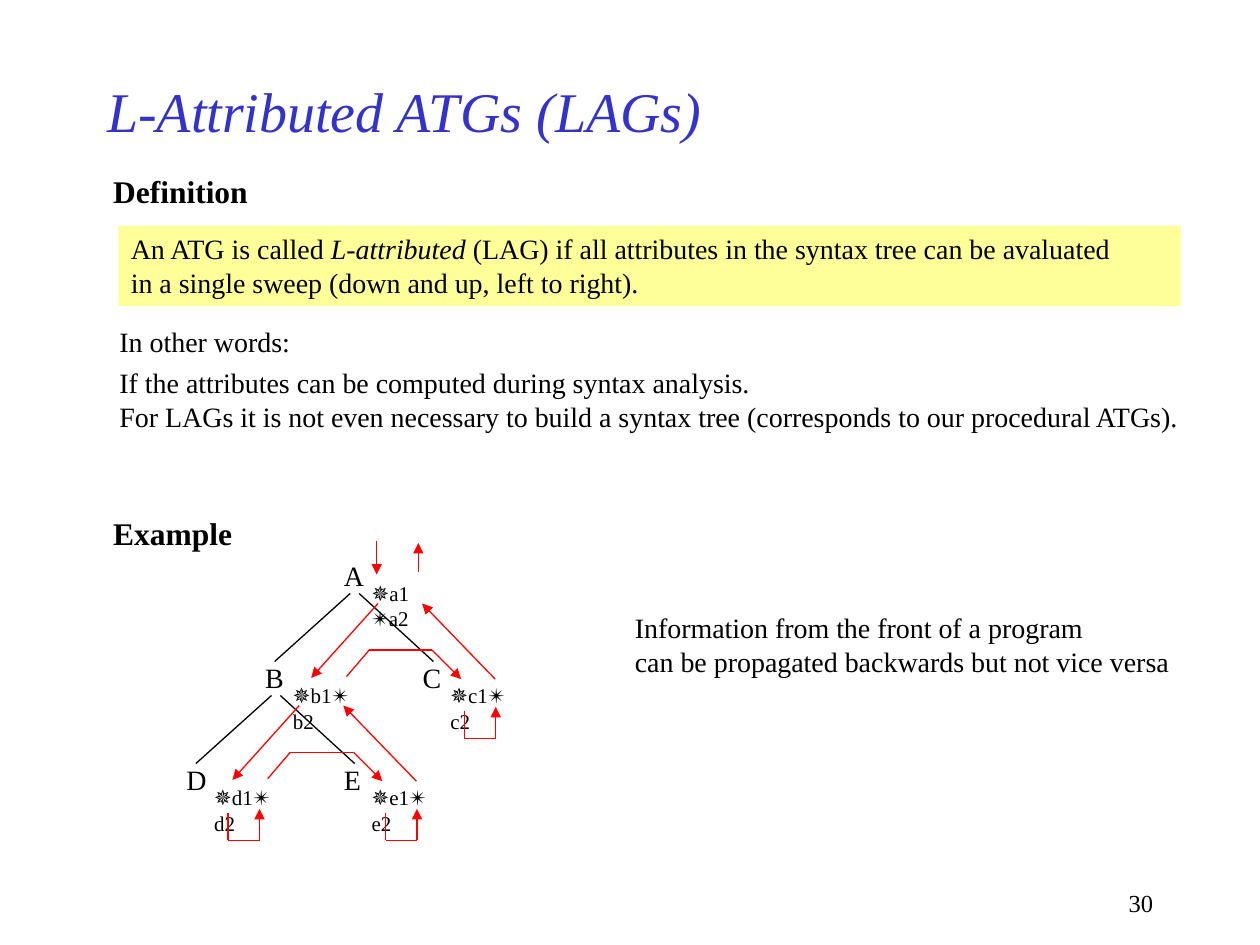
from itertools import pairwise

from lxml import etree
from pptx import Presentation
from pptx import util as u
from pptx.dml.color import RGBColor
from pptx.enum import shapes, text
from pptx.oxml import ns

SERIF = "Times New Roman"
BLACK, RED, BLUE, YELLOW = "000000", "FF0000", "3333CC", "FFFF99"
ORIGIN = (1.48, 4.43)
COLUMN, ROW = 0.625, 0.81
NODES = {"A": (2, 0), "B": (1, 1), "C": (3, 1), "D": (0, 2), "E": (2, 2)}
PARENTS = "AB"
PARENT_EDGES = [[(0.05, 0.28), (-0.55, 0.82)], [(0.12, 0.28), (0.71, 0.82)]]
PARENT_FLOWS = [
    [(0.27, 0.36), (-0.26, 0.95)],
    [(0.02, 0.94), (0.2, 0.73), (0.7, 0.73), (0.93, 0.96)],
    [(1.2, 0.96), (0.62, 0.36)],
]
LEAF_FLOWS = [[(0.33, 0.4), (0.33, 0.62), (0.58, 0.62), (0.58, 0.37)]]
ROOT_FLOWS = [[(0.26, -0.14), (0.26, 0.13)], [(0.59, 0.11), (0.59, -0.12)]]


def color(value):
    return RGBColor.from_string(value)


def apply(target, values):
    for name, value in values.items():
        setattr(target, name, value)


def place(shape, left, top, width, height):
    sizes = zip(("left", "top", "width", "height"), (left, top, width, height))
    apply(shape, {name: u.Inches(size) for name, size in sizes})


def add_run(paragraph, words, size, tint=BLACK, **values):
    run = paragraph.add_run()
    run.text = words
    apply(run.font, {"name": SERIF, "size": u.Pt(size), **values})
    run.font.color.rgb = color(tint)


def add_text(slide, box, lines, size, margins=(0.1, 0.05), wrap=False, fill=None,
             align=text.PP_ALIGN.LEFT, **values):
    shape = slide.shapes.add_textbox(*map(u.Inches, box))
    if fill:
        shape.fill.solid()
        shape.fill.fore_color.rgb = color(fill)
    side, end = map(u.Inches, margins)
    frame = shape.text_frame
    apply(frame, {"word_wrap": wrap, "vertical_anchor": text.MSO_ANCHOR.TOP,
                  "margin_left": side, "margin_right": side,
                  "margin_top": end, "margin_bottom": end})
    for index, pieces in enumerate(lines):
        paragraph = frame.paragraphs[0] if index == 0 else frame.add_paragraph()
        paragraph.alignment = align
        for words, changes in pieces:
            add_run(paragraph, words, size, **{**values, **changes})
    return frame


def plain(*lines):
    return [[(line, {})] for line in lines]


def add_path(slide, start, points, tint, arrow=False):
    corners = [(start[0] + x, start[1] + y) for x, y in points]
    for begin, end in pairwise(corners):
        connector = slide.shapes.add_connector(
            shapes.MSO_CONNECTOR.STRAIGHT, *map(u.Inches, begin + end))
        connector.line.width = u.Pt(0.75)
        connector.line.color.rgb = color(tint)
        properties = connector._element.spPr
        if arrow and end == corners[-1]:
            etree.SubElement(properties.find(ns.qn("a:ln")),
                             ns.qn("a:tailEnd"), type="triangle")
        etree.SubElement(properties, ns.qn("a:effectLst"))


def add_node(slide, name, start):
    left, top = start
    gap = " " if name == "A" else ""
    key = name.lower()
    symbol = {"name": "Roboto"}
    label = [("✵", symbol), (f"{key}1{gap}", {}), ("✴", symbol), (f"{key}2", {})]
    add_text(slide, (left, top, 0.16, 0.27), plain(name), 16, (0, 0))
    add_text(slide, (left + 0.22, top + 0.18, 0.46, 0.2), [label], 12, (0, 0), wrap=True)


def add_tree(slide):
    for name, (column, row) in NODES.items():
        start = (ORIGIN[0] + column * COLUMN, ORIGIN[1] + row * ROW)
        add_node(slide, name, start)
        for edge in PARENT_EDGES if name in PARENTS else []:
            add_path(slide, start, edge, BLACK)
        flows = PARENT_FLOWS if name in PARENTS else LEAF_FLOWS
        for flow in flows + (ROOT_FLOWS if name == "A" else []):
            add_path(slide, start, flow, RED, arrow=True)


def add_title(slide, words):
    title = slide.shapes.title
    place(title, 0.75, 0.5, 7.5, 0.75)
    title.text_frame.vertical_anchor = text.MSO_ANCHOR.MIDDLE
    paragraph = title.text_frame.paragraphs[0]
    paragraph.alignment = text.PP_ALIGN.LEFT
    add_run(paragraph, words, 32, BLUE, italic=True)


def main():
    presentation = Presentation()
    apply(presentation, {"slide_width": u.Inches(10), "slide_height": u.Inches(7.5)})
    slide = presentation.slides.add_slide(presentation.slide_layouts[5])
    add_title(slide, "L-Attributed ATGs (LAGs)")
    for heading, top in (("Definition", 1.32), ("Example", 4.03)):
        add_text(slide, (0.8, top, 1.3, 0.4), plain(heading), 18, wrap=True, bold=True)
    definition = [
        [("An ATG is called ", {}), ("L-attributed", {"italic": True}),
         (" (LAG) if all attributes in the syntax tree can be avaluated", {})],
        *plain("in a single sweep (down and up, left to right)."),
    ]
    add_text(slide, (0.94, 1.79, 8.43, 0.64), definition, 16, fill=YELLOW)
    explanation = add_text(slide, (0.85, 2.53, 8.64, 0.96), plain(
        "In other words:",
        "If the attributes can be computed during syntax analysis.",
        "For LAGs it is not even necessary to build a syntax tree "
        "(corresponds to our procedural ATGs)."), 16)
    explanation.paragraphs[0].space_after = u.Pt(4)
    add_tree(slide)
    add_text(slide, (4.94, 4.8, 4.44, 0.64), plain(
        "Information from the front of a program",
        "can be propagated backwards but not vice versa"), 16)
    add_text(slide, (7.17, 7, 2.08, 0.33), plain("30"), 14, wrap=True,
             align=text.PP_ALIGN.RIGHT)
    presentation.save("out.pptx")


if __name__ == "__main__":
    main()
